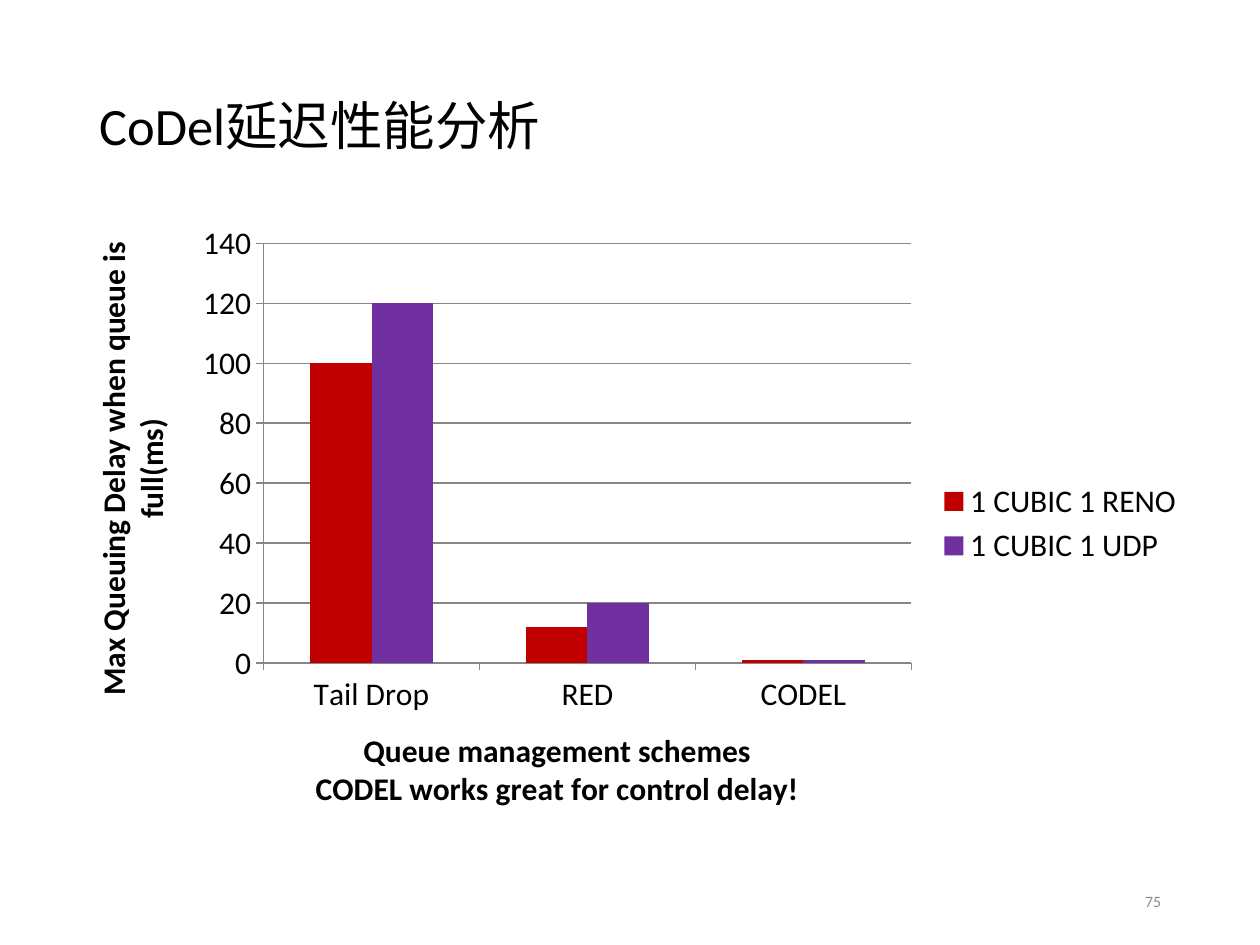
import pptx
import pptx.chart.data
import pptx.dml.color
import pptx.enum.chart
import pptx.enum.text
import pptx.util

Pt = pptx.util.Pt
FONT = "Calibri"
COLORS = {
    "text": "000000",
    "number": "8C8C8C",
    "axis": "868686",
    "reno": "C00000",
    "udp": "7030A0",
}
SCHEMES = ["Tail Drop", "RED", "CODEL"]
DELAYS = [
    ("1 CUBIC 1 RENO", [100, 12, 1], "reno"),
    ("1 CUBIC 1 UDP", [120, 20, 1], "udp"),
]


def color(name):
    return pptx.dml.color.RGBColor.from_string(COLORS[name])


def style_font(font, size, color_name="text", bold=False):
    font.name = FONT
    font.size = Pt(size)
    font.bold = bold
    font.color.rgb = color(color_name)


def set_title(slide, text):
    title = slide.shapes.title
    title.left, title.top, title.width, title.height = Pt(49.5), Pt(29), Pt(621), Pt(88.5)
    frame = title.text_frame
    frame.text = text
    frame.vertical_anchor = pptx.enum.text.MSO_ANCHOR.MIDDLE
    heading = frame.paragraphs[0]
    heading.alignment = pptx.enum.text.PP_ALIGN.LEFT
    heading.line_spacing = 0.9
    style_font(heading.font, 30)


def add_page_number(slide, number):
    frame = slide.shapes.add_textbox(Pt(508.5), Pt(500.5), Pt(162), Pt(28.5)).text_frame
    frame.word_wrap = True
    frame.vertical_anchor = pptx.enum.text.MSO_ANCHOR.MIDDLE
    frame.text = number
    frame.paragraphs[0].alignment = pptx.enum.text.PP_ALIGN.RIGHT
    style_font(frame.paragraphs[0].font, 9, "number")


def style_axis(axis, title):
    style_font(axis.tick_labels.font, 18)
    axis.major_tick_mark = pptx.enum.chart.XL_TICK_MARK.OUTSIDE
    axis.minor_tick_mark = pptx.enum.chart.XL_TICK_MARK.NONE
    axis.format.line.color.rgb = color("axis")
    axis.format.line.width = Pt(0.75)
    frame = axis.axis_title.text_frame
    frame.text = title
    for line in frame.paragraphs:
        style_font(line.font, 18, bold=True)


def add_delay_chart(slide):
    data = pptx.chart.data.CategoryChartData()
    data.categories = SCHEMES
    for name, values, _ in DELAYS:
        data.add_series(name, values)
    chart = slide.shapes.add_chart(
        pptx.enum.chart.XL_CHART_TYPE.COLUMN_CLUSTERED,
        Pt(36), Pt(121), Pt(648), Pt(356.5), data).chart
    style_font(chart.font, 18)
    chart.has_title = False

    bars = chart.plots[0]
    bars.gap_width = 150
    bars.vary_by_categories = False
    for series, (_, _, color_name) in zip(bars.series, DELAYS):
        series.format.fill.solid()
        series.format.fill.fore_color.rgb = color(color_name)

    style_axis(chart.category_axis,
               "Queue management schemes\nCODEL works great for control delay!")
    style_axis(chart.value_axis, "Max Queuing Delay when queue is full(ms)")
    chart.value_axis.has_major_gridlines = True
    gridline = chart.value_axis.major_gridlines.format.line
    gridline.color.rgb = color("axis")
    gridline.width = Pt(0.75)

    chart.has_legend = True
    chart.legend.position = pptx.enum.chart.XL_LEGEND_POSITION.RIGHT
    chart.legend.include_in_layout = False
    style_font(chart.legend.font, 18)


def main():
    deck = pptx.Presentation()
    deck.slide_width, deck.slide_height = Pt(720), Pt(540)
    slide = deck.slides.add_slide(deck.slide_layouts.get_by_name("Title Only"))
    set_title(slide, "CoDel延迟性能分析")
    add_delay_chart(slide)
    add_page_number(slide, "75")
    deck.save("out.pptx")


if __name__ == "__main__":
    main()
